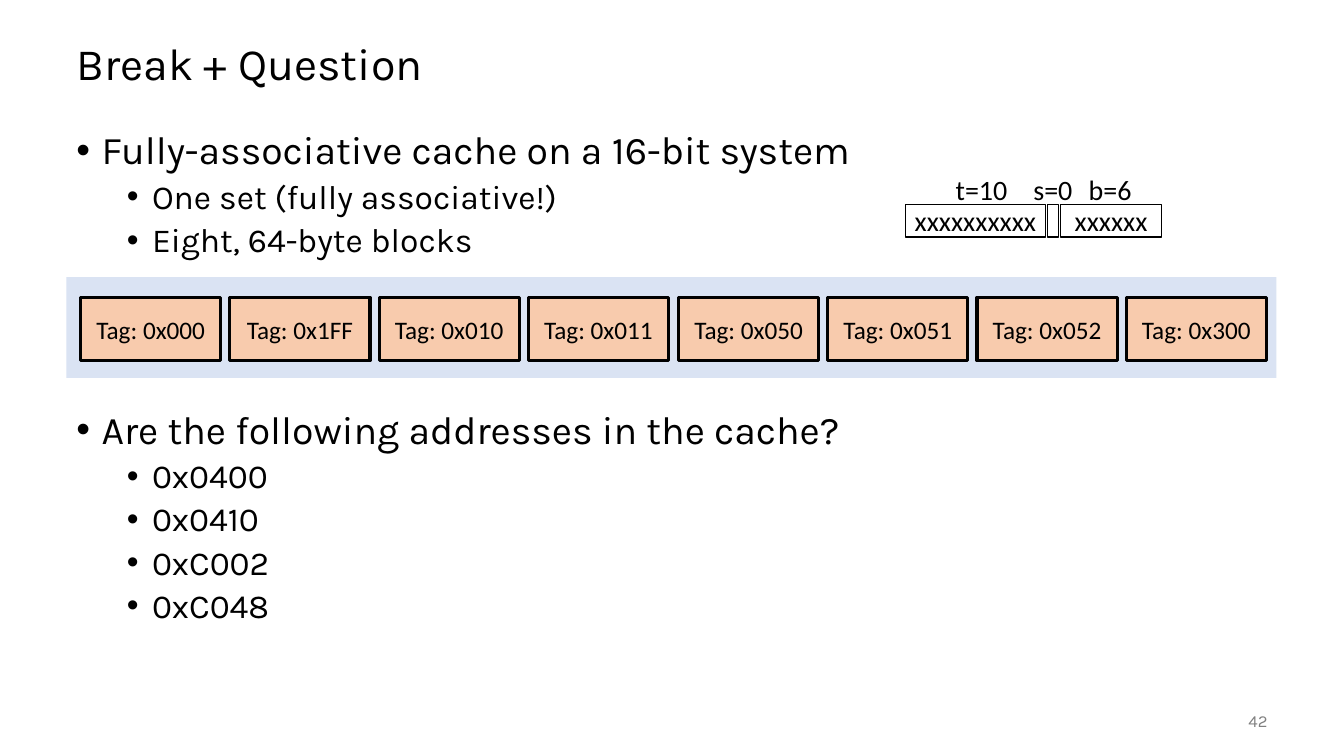
from dataclasses import dataclass

from lxml.etree import SubElement as Sub
from pptx import Presentation as Deck
from pptx.dml.color import RGBColor as Color
from pptx.enum.shapes import MSO_SHAPE as Shape
from pptx.enum.text import MSO_ANCHOR as Anchor, PP_ALIGN as Align
from pptx.oxml.ns import qn
from pptx.util import Pt

SCALE = 9144


@dataclass(frozen=True)
class Theme:
    ink: str = "000000"
    paper: str = "FFFFFF"
    band: str = "DAE3F3"
    block: str = "F8CBAD"
    mute: str = "808080"
    main: str = "Karla"
    plain: str = "Calibri"
    title: int = 32
    head: int = 28
    item: int = 24
    bits: int = 20
    tag: int = 18
    page: int = 12


THEME = Theme()
TAGS = ["0x000", "0x1FF", "0x010", "0x011", "0x050", "0x051", "0x052", "0x300"]
FACTS = [
    "Fully-associative cache on a 16-bit system",
    "One set (fully associative!)",
    "Eight, 64-byte blocks",
]
QUIZ = [
    "Are the following addresses in the cache?",
    "0x0400",
    "0x0410",
    "0xC002",
    "0xC048",
]
FIELDS = [
    (898, 139, "xxxxxxxxxx"),
    (1039, 11, ""),
    (1052, 100, "xxxxxx"),
]
LABELS = [(938, 72, "t=10"), (1015, 59, "s=0"), (1070, 63, "b=6")]


def px(*sides):
    return [side * SCALE for side in sides]


def style(para, size, face, color=THEME.ink):
    for run in para.runs:
        run.font.size = Pt(size)
        run.font.name = face
        run.font.color.rgb = Color.from_string(color)


def add_text(slide, area, text, size, face, color=THEME.ink,
             align=Align.LEFT, anchor=Anchor.MIDDLE, wrap=True):
    frame = slide.shapes.add_textbox(*px(*area)).text_frame
    frame.word_wrap = wrap
    frame.vertical_anchor = anchor
    frame.text = text
    para = frame.paragraphs[0]
    para.alignment = align
    style(para, size, face, color)


def add_list(slide, area, lines):
    frame = slide.shapes.add_textbox(*px(*area)).text_frame
    frame.word_wrap = True
    frame.text = "\n".join(lines)
    for rank, para in enumerate(frame.paragraphs):
        props = para._p.get_or_add_pPr()
        left, hang = px(75 if rank else 25, -25)
        props.set("marL", str(left))
        props.set("indent", str(hang))
        Sub(props, qn("a:buFont"), typeface="Arial")
        Sub(props, qn("a:buChar"), char="•")
        para.level = 1 if rank else 0
        para.line_spacing = 0.9
        para.space_before = Pt(5 if rank else 0)
        style(para, THEME.item if rank else THEME.head, THEME.main)


def add_box(slide, area, fill, line=0, text="", size=THEME.tag):
    box = slide.shapes.add_shape(Shape.RECTANGLE, *px(*area))
    box.shadow.inherit = False
    box.fill.solid()
    box.fill.fore_color.rgb = Color.from_string(fill)
    if line:
        box.line.color.rgb = Color.from_string(THEME.ink)
        box.line.width = Pt(line)
    else:
        box.line.fill.background()
    if text:
        frame = box.text_frame
        frame.word_wrap = False
        frame.vertical_anchor = Anchor.MIDDLE
        frame.text = text
        para = frame.paragraphs[0]
        para.alignment = Align.CENTER
        style(para, size, THEME.plain)


def add_cache(slide):
    add_box(slide, (66, 275, 1200, 100), THEME.band)
    first, last = 80, 1117
    step = (last - first) / (len(TAGS) - 1)
    for spot, tag in enumerate(TAGS):
        left = round(first + spot * step)
        add_box(slide, (left, 295, 139, 63), THEME.block, 2.25, f"Tag: {tag}")


def add_split(slide):
    for left, width, bits in FIELDS:
        add_box(slide, (left, 203, width, 32), THEME.paper, 1, bits, THEME.bits)
    for left, width, label in LABELS:
        add_text(slide, (left, 166, width, 43), label, THEME.bits, THEME.plain,
                 anchor=Anchor.TOP, wrap=False)


def main():
    deck = Deck()
    deck.slide_width, deck.slide_height = px(1333, 750)
    slide = deck.slides.add_slide(deck.slide_layouts[6])
    add_text(slide, (66, 25, 1200, 75), "Break + Question", THEME.title, THEME.main)
    add_list(slide, (66, 125, 1200, 145), FACTS)
    add_list(slide, (66, 402, 1200, 273), QUIZ)
    add_text(slide, (1167, 695, 100, 40), "42", THEME.page, THEME.main,
             THEME.mute, Align.RIGHT)
    add_cache(slide)
    add_split(slide)
    deck.save("out.pptx")


if __name__ == "__main__":
    main()
